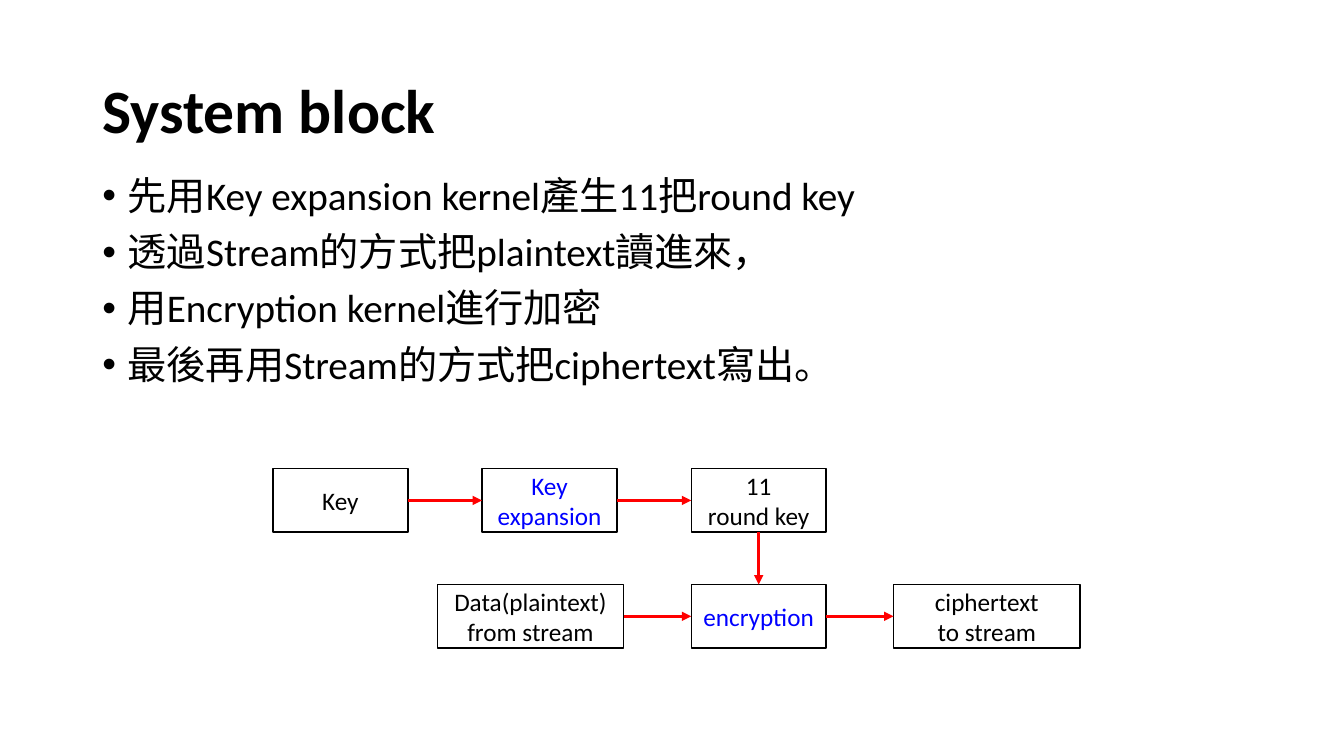
from lxml import etree
from pptx import Presentation
from pptx import util as u
from pptx.dml.color import RGBColor
from pptx.enum import shapes, text
from pptx.oxml.ns import qn

BLACK = RGBColor(0x00, 0x00, 0x00)
WHITE = RGBColor(0xFF, 0xFF, 0xFF)
BLUE = RGBColor(0x00, 0x00, 0xFF)
RED = RGBColor(0xFF, 0x00, 0x00)
FONT = "Calibri"

STEPS = [
    "先用Key expansion kernel產生11把round key",
    "透過Stream的方式把plaintext讀進來，",
    "用Encryption kernel進行加密",
    "最後再用Stream的方式把ciphertext寫出。",
]

# Connection sites of a rectangle
TOP, LEFT, BOTTOM, RIGHT = range(4)

# Diagram measures in cm
BLOCK_WIDTH, STREAM_WIDTH, BLOCK_HEIGHT = 3.4, 4.7, 1.6
COLUMN_PITCH, ROW_PITCH, STREAM_GAP = 5.27, 2.92, 1.7


def format_runs(paragraph, size, color, bold=False):
    for run in paragraph.runs:
        run.font.name = FONT
        run.font.size = u.Pt(size)
        run.font.bold = bold
        run.font.color.rgb = color


def add_title(slide, left, top, width, height):
    title = slide.shapes.add_textbox(u.Cm(left), u.Cm(top), u.Cm(width), u.Cm(height))
    frame = title.text_frame
    frame.word_wrap = True
    frame.vertical_anchor = text.MSO_ANCHOR.MIDDLE
    frame.text = "System block"
    frame.paragraphs[0].line_spacing = 0.9
    format_runs(frame.paragraphs[0], 44, BLACK, bold=True)


def add_steps(slide, left, top, width, height):
    steps = slide.shapes.add_textbox(u.Cm(left), u.Cm(top), u.Cm(width), u.Cm(height))
    frame = steps.text_frame
    frame.word_wrap = True
    frame.text = "\n".join(STEPS)
    for index, step in enumerate(frame.paragraphs):
        properties = step._p.get_or_add_pPr()
        properties.set("marL", str(u.Cm(0.64)))
        properties.set("indent", str(-u.Cm(0.64)))
        etree.SubElement(properties, qn("a:buFont"), typeface="Arial")
        etree.SubElement(properties, qn("a:buChar"), char="•")
        step.line_spacing = 0.9
        if index:
            step.space_before = u.Pt(10)
        format_runs(step, 28, BLACK)


def add_block(slide, label, left, top, width=BLOCK_WIDTH, color=BLACK):
    block = slide.shapes.add_shape(
        shapes.MSO_SHAPE.RECTANGLE,
        u.Cm(left), u.Cm(top), u.Cm(width), u.Cm(BLOCK_HEIGHT),
    )
    block.shadow.inherit = False
    block.fill.solid()
    block.fill.fore_color.rgb = WHITE
    block.line.color.rgb = BLACK
    block.line.width = u.Pt(1)
    frame = block.text_frame
    frame.vertical_anchor = text.MSO_ANCHOR.MIDDLE
    caption = frame.paragraphs[0]
    caption.text = label
    caption.alignment = text.PP_ALIGN.CENTER
    format_runs(caption, 18, color)
    return block


def add_arrow(slide, source, source_site, target, target_site):
    arrow = slide.shapes.add_connector(shapes.MSO_CONNECTOR.STRAIGHT, 0, 0, 0, 0)
    arrow.begin_connect(source, source_site)
    arrow.end_connect(target, target_site)
    arrow.line.color.rgb = RED
    arrow.line.width = u.Pt(2.25)
    etree.SubElement(arrow.line._get_or_add_ln(), qn("a:tailEnd"), type="triangle")
    etree.SubElement(arrow._element.spPr, qn("a:effectLst"))


def add_diagram(slide, left, top):
    # Upper row: from the key to the round keys
    key, expansion, round_key = [
        add_block(slide, label, left + column * COLUMN_PITCH, top, color=color)
        for column, (label, color) in enumerate(
            [("Key", BLACK), ("Key\nexpansion", BLUE), ("11\nround key", BLACK)]
        )
    ]

    # Lower row: streams on both sides of the encryption
    center = left + 2 * COLUMN_PITCH
    lower = top + ROW_PITCH
    encryption = add_block(slide, "encryption", center, lower, color=BLUE)
    plaintext = add_block(slide, "Data(plaintext)\nfrom stream",
                          center - STREAM_GAP - STREAM_WIDTH, lower, STREAM_WIDTH)
    ciphertext = add_block(slide, "ciphertext\nto stream",
                           center + BLOCK_WIDTH + STREAM_GAP, lower, STREAM_WIDTH)

    # Data flow
    for source, target in [(key, expansion), (expansion, round_key),
                           (plaintext, encryption), (encryption, ciphertext)]:
        add_arrow(slide, source, RIGHT, target, LEFT)
    add_arrow(slide, round_key, BOTTOM, encryption, TOP)


def main():
    deck = Presentation()
    deck.slide_width, deck.slide_height = u.Cm(33.87), u.Cm(19.05)
    slide = deck.slides.add_slide(deck.slide_layouts[6])
    add_title(slide, 2.33, 1.01, 29.21, 3.68)
    add_diagram(slide, 6.88, 11.81)
    add_steps(slide, 2.33, 4.32, 29.21, 12.09)
    deck.save("out.pptx")


if __name__ == "__main__":
    main()
